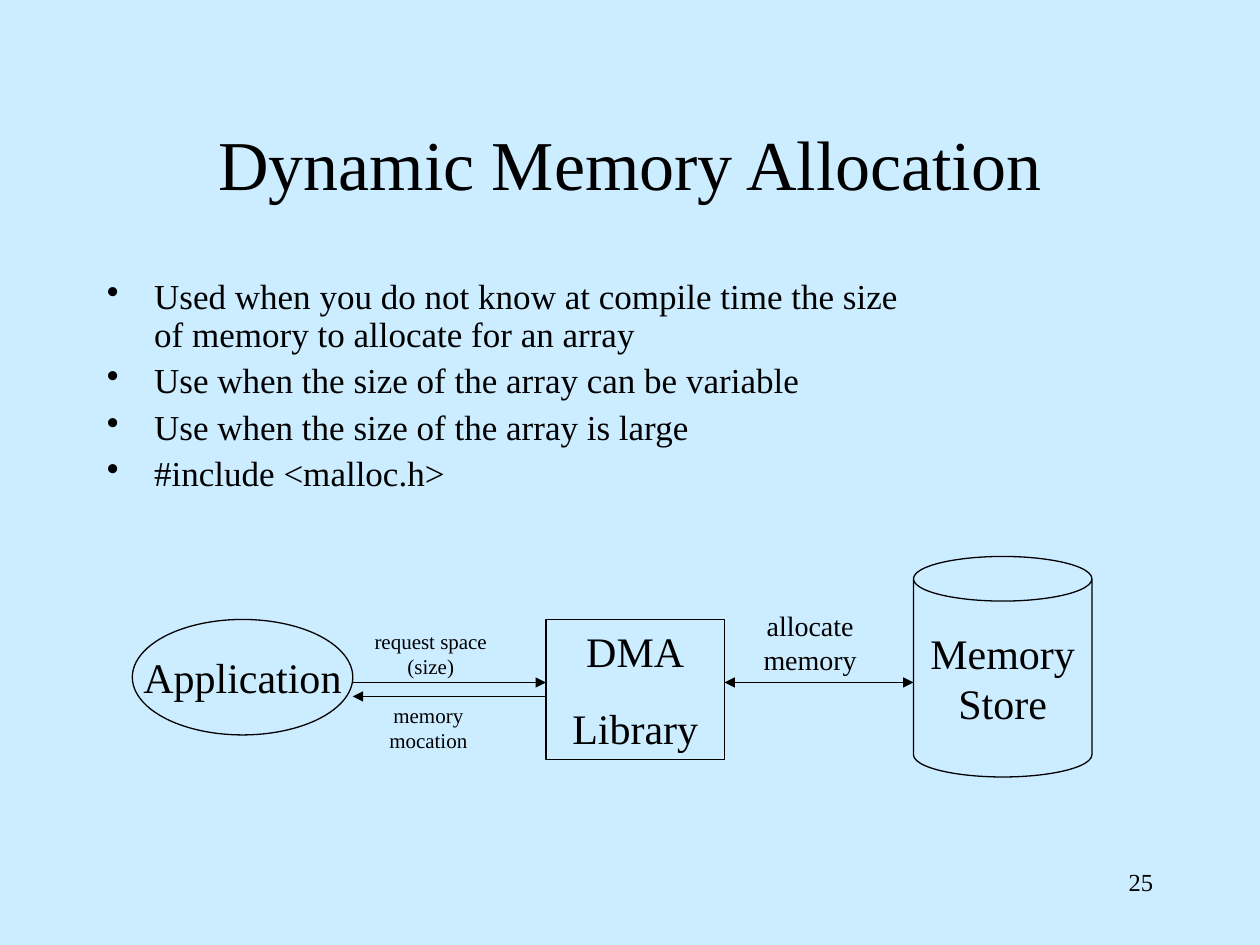
from lxml.etree import SubElement
from pptx import Presentation
from pptx.dml.color import RGBColor
from pptx.enum.shapes import MSO_CONNECTOR, MSO_SHAPE
from pptx.enum.text import MSO_ANCHOR, PP_ALIGN
from pptx.oxml.ns import qn
from pptx.util import Pt

SKY = RGBColor(0xCC, 0xEC, 0xFF)
INK = RGBColor(0, 0, 0)
FONT = "Times New Roman"


def write(frame, lines, size, align=PP_ALIGN.CENTER, anchor=MSO_ANCHOR.TOP,
          wrap=True, before=0):
    frame.word_wrap = wrap
    frame.vertical_anchor = anchor
    for index, line in enumerate(lines):
        paragraph = frame.paragraphs[0] if index == 0 else frame.add_paragraph()
        paragraph.alignment = align
        paragraph.space_before = Pt(before)
        run = paragraph.add_run()
        run.text = line
        run.font.name = FONT
        run.font.size = Pt(size)
        run.font.color.rgb = INK


def add_label(slide, box, lines, size, **style):
    label = slide.shapes.add_textbox(*map(Pt, box))
    write(label.text_frame, lines, size, **style)
    return label.text_frame


def add_bullets(slide, box, lines):
    frame = add_label(slide, box, lines, 20, align=PP_ALIGN.LEFT, before=5)
    for paragraph in frame.paragraphs:
        paragraph.line_spacing = 0.9
        properties = paragraph._p.get_or_add_pPr()
        properties.set("marL", str(Pt(27)))
        properties.set("indent", str(Pt(-27)))
        SubElement(properties, qn("a:buChar"), char="•")


def add_node(slide, kind, box, lines, **style):
    node = slide.shapes.add_shape(kind, *map(Pt, box))
    node.shadow.inherit = False
    node.fill.background()
    node.line.color.rgb = INK
    node.line.width = Pt(0.75)
    write(node.text_frame, lines, 24, **style)
    return node


def add_arrow(slide, start, end, y, ends=("tailEnd",)):
    arrow = slide.shapes.add_connector(
        MSO_CONNECTOR.STRAIGHT, Pt(start), Pt(y), Pt(end), Pt(y))
    arrow.line.color.rgb = INK
    arrow.line.width = Pt(0.75)
    outline = arrow.line._get_or_add_ln()
    for end_name in ends:
        SubElement(outline, qn(f"a:{end_name}"), type="triangle")
    SubElement(arrow._element.spPr, qn("a:effectLst"))


def add_allocation_diagram(slide, left, top, width, height):
    node_width = 102
    node_top = top + 36
    application_right = left + 126
    library_left = left + 236.4
    library_right = library_left + node_width
    store_left = left + width - node_width
    request_y = top + 72
    reply_y = request_y + 8

    add_node(slide, MSO_SHAPE.OVAL, (left, node_top, 126, 66),
             ["Application"], anchor=MSO_ANCHOR.MIDDLE, wrap=False)
    store = add_node(slide, MSO_SHAPE.CAN, (store_left, top, node_width, height),
                     ["Memory", "Store"], anchor=MSO_ANCHOR.MIDDLE, wrap=False)
    store.adjustments[0] = 0.25
    add_node(slide, MSO_SHAPE.RECTANGLE, (library_left, node_top, node_width, 80),
             ["DMA", "Library"], before=15)

    add_arrow(slide, application_right, library_left, request_y)
    add_arrow(slide, library_right, store_left, request_y, ("headEnd", "tailEnd"))
    add_arrow(slide, library_left, application_right, reply_y)

    add_label(slide, (left + 116.6, top + 37.7, 108, 21.6),
              ["request space (size)"], 12, wrap=False)
    add_label(slide, (left + 353.5, top + 26.2, 67.7, 46),
              ["allocate", "memory"], 16, wrap=False)
    add_label(slide, (left + 139.7, reply_y, 59, 36),
              ["memory", "mocation"], 12, wrap=False)


def main():
    deck = Presentation()
    deck.slide_width, deck.slide_height = Pt(720), Pt(540)
    slide = deck.slides.add_slide(deck.slide_layouts[6])
    slide.background.fill.solid()
    slide.background.fill.fore_color.rgb = SKY

    add_label(slide, (54, 48, 612, 90), ["Dynamic Memory Allocation"], 40,
              anchor=MSO_ANCHOR.MIDDLE)
    add_bullets(slide, (54, 156, 468, 138), [
        "Used when you do not know at compile time the size of memory to allocate for an array",
        "Use when the size of the array can be variable",
        "Use when the size of the array is large",
        "#include <malloc.h>",
    ])
    add_allocation_diagram(slide, 75.6, 318, 548.4, 126)
    add_label(slide, (516, 492, 150, 36), ["25"], 14, align=PP_ALIGN.RIGHT)
    deck.save("out.pptx")


if __name__ == "__main__":
    main()
